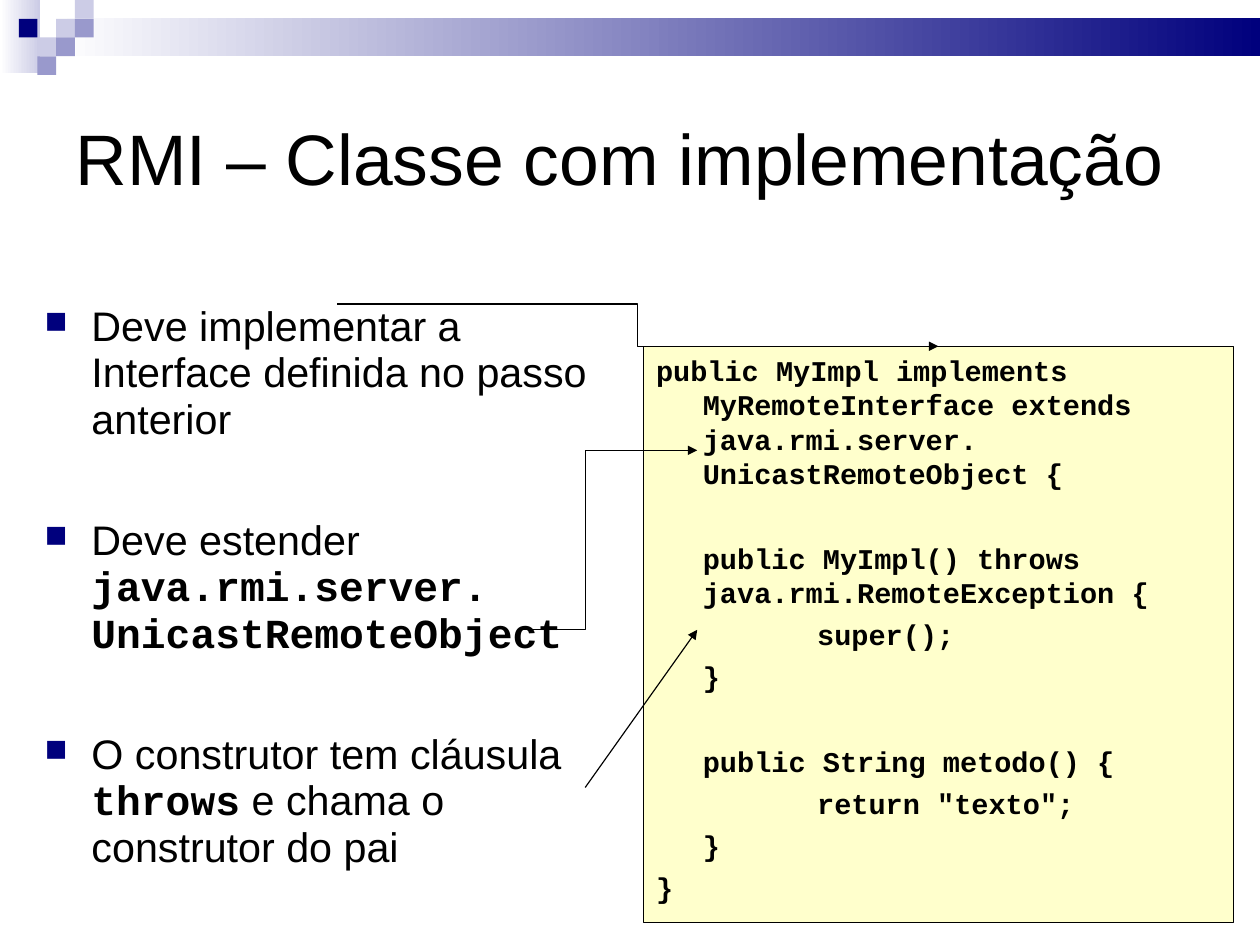
from dataclasses import dataclass

from lxml.etree import SubElement
from pptx import Presentation
from pptx.dml.color import RGBColor
from pptx.enum.shapes import MSO_CONNECTOR as Connector, MSO_SHAPE as Shape
from pptx.enum.text import MSO_ANCHOR as Anchor, PP_ALIGN as Align
from pptx.oxml.ns import qn
from pptx.util import Cm, Inches, Pt

BLACK = RGBColor(0x00, 0x00, 0x00)
WHITE = RGBColor(0xFF, 0xFF, 0xFF)
NAVY = RGBColor(0x00, 0x00, 0x7D)
LILAC = RGBColor(0x99, 0x99, 0xCC)
PALE = RGBColor(0xCC, 0xCC, 0xE6)
CREAM = RGBColor(0xFF, 0xFF, 0xCC)
SANS, MONO = "Arial", "Courier New"
TILE = 0.164
INDENT = 0.41


@dataclass
class Tile:
    column: int
    row: int
    color: RGBColor


@dataclass
class Segment:
    text: str
    code: bool = False


@dataclass
class CodeLine:
    text: str
    margin: float = INDENT
    first_indent: float = 0
    space_before: float = 5


@dataclass
class Arrow:
    kind: Connector
    start: tuple[float, float]
    end: tuple[float, float]


TILES = [
    Tile(3, 1, PALE), Tile(4, 0, PALE), Tile(4, 1, LILAC), Tile(2, 2, PALE),
    Tile(1, 1, NAVY), Tile(3, 2, LILAC), Tile(2, 3, LILAC),
]
BULLETS = [
    [Segment("Deve implementar a Interface definida no passo anterior")],
    [Segment("Deve estender "), Segment("java.rmi.server. UnicastRemoteObject", True)],
    [Segment("O construtor tem cláusula "), Segment("throws", True),
     Segment(" e chama o construtor do pai")],
]
BULLET_GAP = 46.9
SECTION_GAP = 31.6
CODE = [
    CodeLine("public MyImpl implements MyRemoteInterface extends "
             "java.rmi.server. UnicastRemoteObject {", INDENT, -INDENT, 0),
    CodeLine("public MyImpl() throws java.rmi.RemoteException {", space_before=SECTION_GAP),
    CodeLine("super();", INDENT + 1),
    CodeLine("}"),
    CodeLine("public String metodo() {", space_before=SECTION_GAP),
    CodeLine('return "texto";', INDENT + 1),
    CodeLine("}"),
    CodeLine("}", 0),
]
ARROWS = [
    Arrow(Connector.ELBOW, (2.95, 2.66), (8.21, 3.03)),
    Arrow(Connector.STRAIGHT, (5.12, 3.94), (6.1, 3.94)),
    Arrow(Connector.STRAIGHT, (5.12, 6.89), (6.1, 5.51)),
]


def add_rectangle(slide, left: float, top: float, width: float, height: float,
                  color: RGBColor, fade: bool = False):
    """Add a borderless rectangle, optionally fading to white on the left."""
    shape = slide.shapes.add_shape(
        Shape.RECTANGLE, Inches(left), Inches(top), Inches(width), Inches(height))
    shape.shadow.inherit = False
    shape.line.fill.background()
    if fade:
        shape.fill.gradient()
        shape.fill.gradient_angle = 180
        for stop, stop_color in zip(shape.fill.gradient_stops, (color, WHITE)):
            stop.color.rgb = stop_color
    else:
        shape.fill.solid()
        shape.fill.fore_color.rgb = color
    return shape


def set_outline(shape) -> None:
    shape.line.color.rgb = BLACK
    shape.line.width = Pt(0.75)


def set_frame(shape, anchor: Anchor, side: float, edge: float):
    """Set wrapping, anchor and margins, and return the text frame."""
    frame = shape.text_frame
    frame.word_wrap = True
    frame.vertical_anchor = anchor
    frame.margin_left = frame.margin_right = Inches(side)
    frame.margin_top = frame.margin_bottom = Inches(edge)
    return frame


def next_paragraph(frame, index: int):
    return frame.add_paragraph() if index else frame.paragraphs[0]


def set_indent(paragraph, margin: float, first: float):
    """Set the left margin and first-line indent, and return the properties."""
    properties = paragraph._p.get_or_add_pPr()
    properties.set("marL", str(Inches(margin)))
    properties.set("indent", str(Inches(first)))
    return properties


def set_font(font, name: str, size: float, bold: bool = False) -> None:
    font.name = name
    font.size = Pt(size)
    font.bold = bold
    font.color.rgb = BLACK


def add_header(slide) -> None:
    add_rectangle(slide, 0, 0, 0.35, 0.64, PALE, fade=True)
    add_rectangle(slide, 0.5, 0.16, 10.53, 0.33, NAVY, fade=True)
    for tile in TILES:
        add_rectangle(slide, tile.column * TILE, tile.row * TILE, TILE, TILE, tile.color)


def add_title(slide) -> None:
    box = slide.shapes.add_textbox(Inches(0.55), Inches(0.55), Inches(9.92), Inches(1.65))
    paragraph = set_frame(box, Anchor.MIDDLE, 0.11, 0.06).paragraphs[0]
    paragraph.text = "RMI – Classe com implementação"
    set_font(paragraph.font, SANS, 45)


def add_bullets(slide) -> None:
    box = slide.shapes.add_textbox(Inches(0.39), Inches(2.66), Inches(5.12), Inches(5.44))
    frame = set_frame(box, Anchor.TOP, 0, 0)
    for index, segments in enumerate(BULLETS):
        paragraph = next_paragraph(frame, index)
        paragraph.line_spacing = 0.94
        paragraph.space_before = Pt(BULLET_GAP if index else 0)
        properties = set_indent(paragraph, INDENT, -INDENT)
        bullet_color = SubElement(properties, qn("a:buClr"))
        SubElement(bullet_color, qn("a:srgbClr"), val=str(NAVY))
        SubElement(properties, qn("a:buSzPct"), val="75000")
        SubElement(properties, qn("a:buChar"), char="■")
        for segment in segments:
            run = paragraph.add_run()
            run.text = segment.text
            set_font(run.font, MONO if segment.code else SANS, 26, segment.code)


def add_code(slide) -> None:
    box = add_rectangle(slide, 5.63, 3.03, 5.16, 5.04, CREAM)
    set_outline(box)
    frame = set_frame(box, Anchor.TOP, 0.11, 0.06)
    for index, line in enumerate(CODE):
        paragraph = next_paragraph(frame, index)
        paragraph.text = line.text
        paragraph.alignment = Align.LEFT
        paragraph.space_before = Pt(line.space_before)
        set_indent(paragraph, line.margin, line.first_indent)
        set_font(paragraph.font, MONO, 18, bold=True)


def add_arrow(slide, arrow: Arrow) -> None:
    connector = slide.shapes.add_connector(
        arrow.kind, *map(Inches, arrow.start), *map(Inches, arrow.end))
    set_outline(connector)
    SubElement(connector.line._get_or_add_ln(), qn("a:tailEnd"), type="triangle")
    SubElement(connector._element.spPr, qn("a:effectLst"))


def add_elbow(slide) -> None:
    """Link the second bullet to the start of its arrow."""
    builder = slide.shapes.build_freeform(Inches(4.53), Inches(5.51))
    builder.add_line_segments(
        [(Inches(5.12), Inches(5.51)), (Inches(5.12), Inches(3.94))], close=False)
    elbow = builder.convert_to_shape()
    elbow.shadow.inherit = False
    elbow.fill.background()
    set_outline(elbow)


def main() -> None:
    presentation = Presentation()
    presentation.slide_width = Cm(28)
    presentation.slide_height = Cm(21)
    slide = presentation.slides.add_slide(presentation.slide_layouts[6])
    add_header(slide)
    add_bullets(slide)
    add_code(slide)
    add_elbow(slide)
    for arrow in ARROWS:
        add_arrow(slide, arrow)
    add_title(slide)
    presentation.save("out.pptx")


if __name__ == "__main__":
    main()
